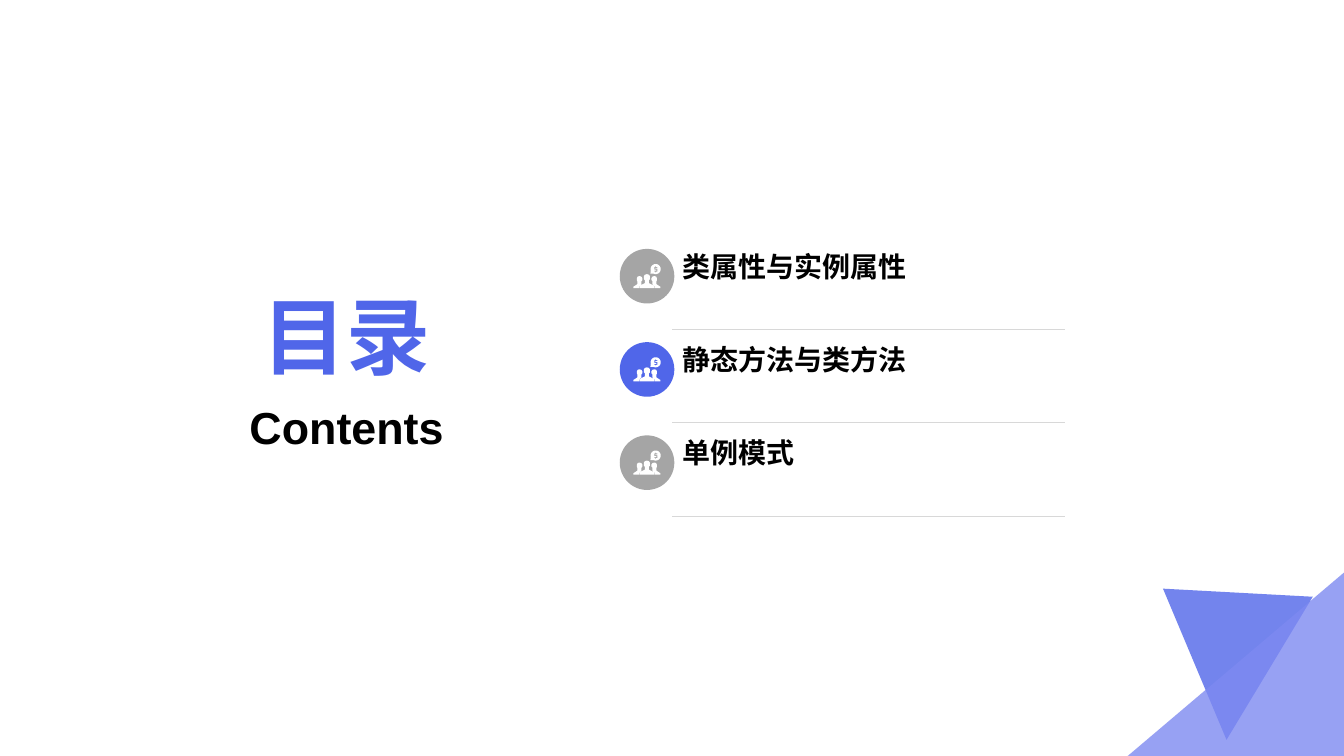
import math
from dataclasses import dataclass

from lxml import etree
from pptx import Presentation
from pptx import util as u
from pptx.dml.color import RGBColor
from pptx.enum import shapes, text
from pptx.oxml import ns


@dataclass(frozen=True)
class Theme:
    font: str = "Arial"
    accent: str = "5066E9"
    lilac: str = "7E8AF1"
    gray: str = "A5A5A5"
    rule: str = "D8D8D8"
    black: str = "000000"
    white: str = "FFFFFF"
    title_size: float = 60
    subtitle_size: float = 32
    topic_size: float = 20


@dataclass(frozen=True)
class Box:
    left: float
    top: float
    width: float
    height: float


THEME = Theme()
TOPICS = ["类属性与实例属性", "静态方法与类方法", "单例模式"]
ACTIVE_TOPIC = 1

ICON_UNIT = 0.72
ICON_WIDTH = 27
CENTER_HALF = [(0, 10), (2, 10.6), (3, 12), (3, 15), (2, 16),
               (2, 19), (6, 21), (7, 22), (7, 24)]
SIDE_PERSON = [(0, 24), (0, 22.5), (1, 22), (4, 20), (4, 17), (3.5, 16),
               (3.5, 14), (4.5, 12.3), (6.3, 12), (8, 12.5), (9, 14), (9, 16),
               (8, 17), (8, 20), (7, 21), (6, 22), (6, 24)]
DOLLAR = [(24, 2.8), (22.8, 2.8), (22.8, 2), (22, 2), (22, 2.8), (20.8, 2.8),
          (20.8, 5.5), (23, 5.5), (23, 6.5), (20.8, 6.5), (20.8, 7.5),
          (22, 7.5), (22, 8.2), (22.8, 8.2), (22.8, 7.5), (24, 7.5),
          (24, 4.7), (21.8, 4.7), (21.8, 3.8), (24, 3.8)]


def paint(shape, color, opacity=100):
    shape.shadow.inherit = False
    shape.fill.solid()
    shape.fill.fore_color.rgb = RGBColor.from_string(color)
    shape.line.fill.background()
    if opacity < 100:
        color_node = shape.fill._xPr.find(".//" + ns.qn("a:srgbClr"))
        etree.SubElement(color_node, ns.qn("a:alpha"), val=str(opacity * 1000))


def place(shape, box):
    shape.left, shape.top = u.Pt(box.left), u.Pt(box.top)
    shape.width, shape.height = u.Pt(box.width), u.Pt(box.height)


def write(shape, content, size, color, align, anchor):
    frame = shape.text_frame
    frame.text = content
    frame.word_wrap = True
    frame.auto_size = text.MSO_AUTO_SIZE.NONE
    frame.vertical_anchor = anchor
    for paragraph in frame.paragraphs:
        paragraph.alignment = align
        paragraph.space_before = u.Pt(0)
        for run in paragraph.runs:
            run.font.name = THEME.font
            run.font.size = u.Pt(size)
            run.font.bold = True
            run.font.color.rgb = RGBColor.from_string(color)


def add_outline(slide, contours, left, top, unit=1):
    paths = [[(u.Pt(left + x * unit), u.Pt(top + y * unit)) for x, y in contour]
             for contour in contours]
    builder = slide.shapes.build_freeform(*paths[0][0])
    builder.add_line_segments(paths[0][1:])
    for points in paths[1:]:
        builder.move_to(*points[0])
        builder.add_line_segments(points[1:])
    return builder.convert_to_shape()


def draw_people_icon(slide, left, top):
    middle = ICON_WIDTH / 2
    center_person = [(middle - x, y) for x, y in reversed(CENTER_HALF)]
    center_person += [(middle + x, y) for x, y in CENTER_HALF[1:]]
    other_side = [(ICON_WIDTH - x, y) for x, y in SIDE_PERSON]
    angles = [math.radians(degrees) for degrees in range(165, 476, 10)]
    bubble = [(22.2 + 5 * math.cos(a), 5 + 5 * math.sin(a)) for a in angles]
    bubble.append((17, 9.6))
    contours = [SIDE_PERSON, center_person, other_side, bubble, DOLLAR]
    paint(add_outline(slide, contours, left, top, ICON_UNIT), THEME.white)


def draw_corner(slide, box):
    right, bottom = box.left + box.width, box.top + box.height
    small = [(box.width - 22.3, 17.3), (70.6, box.height - 11.5), (25.2, 11.5)]
    large = [(0, box.height), (box.width, box.height), (box.width, 0)]
    for triangle, color in ((small, THEME.accent), (large, THEME.lilac)):
        shape = add_outline(slide, [triangle], right - box.width, bottom - box.height)
        paint(shape, color, 80)


def draw_heading(slide, box):
    title = slide.shapes.title
    place(title, Box(box.left, box.top, box.width, 90))
    write(title, "目录", THEME.title_size, THEME.accent,
          text.PP_ALIGN.CENTER, text.MSO_ANCHOR.BOTTOM)
    subtitle = slide.shapes.add_textbox(0, 0, 0, 0)
    place(subtitle, Box(box.left, box.top + 93.6, box.width, 39.6))
    write(subtitle, "Contents", THEME.subtitle_size, THEME.black,
          text.PP_ALIGN.CENTER, text.MSO_ANCHOR.TOP)


def draw_topic_list(slide, box, pitch):
    topics = slide.placeholders[1]
    place(topics, box)
    write(topics, "\n".join(TOPICS), THEME.topic_size, THEME.black,
          text.PP_ALIGN.LEFT, text.MSO_ANCHOR.BOTTOM)
    frame = topics.text_frame
    frame.margin_top = frame.margin_bottom = 0
    for paragraph in frame.paragraphs:
        paragraph.line_spacing = u.Pt(pitch)
        properties = paragraph._p.get_or_add_pPr()
        properties.set("marL", "0")
        properties.set("indent", "0")
        etree.SubElement(properties, ns.qn("a:buNone"))


def draw_topics(slide, box):
    pitch = box.height / len(TOPICS)
    badge = 39
    text_left = box.left + 37.4
    right = box.left + box.width
    draw_topic_list(slide, Box(text_left, box.top - 42.2, right - text_left, box.height), pitch)
    for index in range(len(TOPICS)):
        top = box.top + index * pitch
        circle = slide.shapes.add_shape(shapes.MSO_SHAPE.OVAL, 0, 0, 0, 0)
        place(circle, Box(box.left, top, badge, badge))
        paint(circle, THEME.accent if index == ACTIVE_TOPIC else THEME.gray)
        draw_people_icon(slide, box.left + 9.7, top + 10.8)
        rule_top = u.Pt(top + 57.5)
        rule = slide.shapes.add_connector(shapes.MSO_CONNECTOR.STRAIGHT,
                                          u.Pt(text_left), rule_top, u.Pt(right), rule_top)
        rule.line.color.rgb = RGBColor.from_string(THEME.rule)
        rule.line.width = u.Pt(0.25)
        etree.SubElement(rule._element.spPr, ns.qn("a:effectLst"))


def main():
    presentation = Presentation()
    presentation.slide_width, presentation.slide_height = u.Pt(960.2), u.Pt(540)
    slide = presentation.slides.add_slide(presentation.slide_layouts[1])
    draw_corner(slide, Box(805.7, 409, 154.5, 131))
    draw_topics(slide, Box(442.8, 177.8, 318.3, 199.8))
    draw_heading(slide, Box(150.5, 188.6, 194.4, 133.2))
    presentation.save("out.pptx")


if __name__ == "__main__":
    main()
